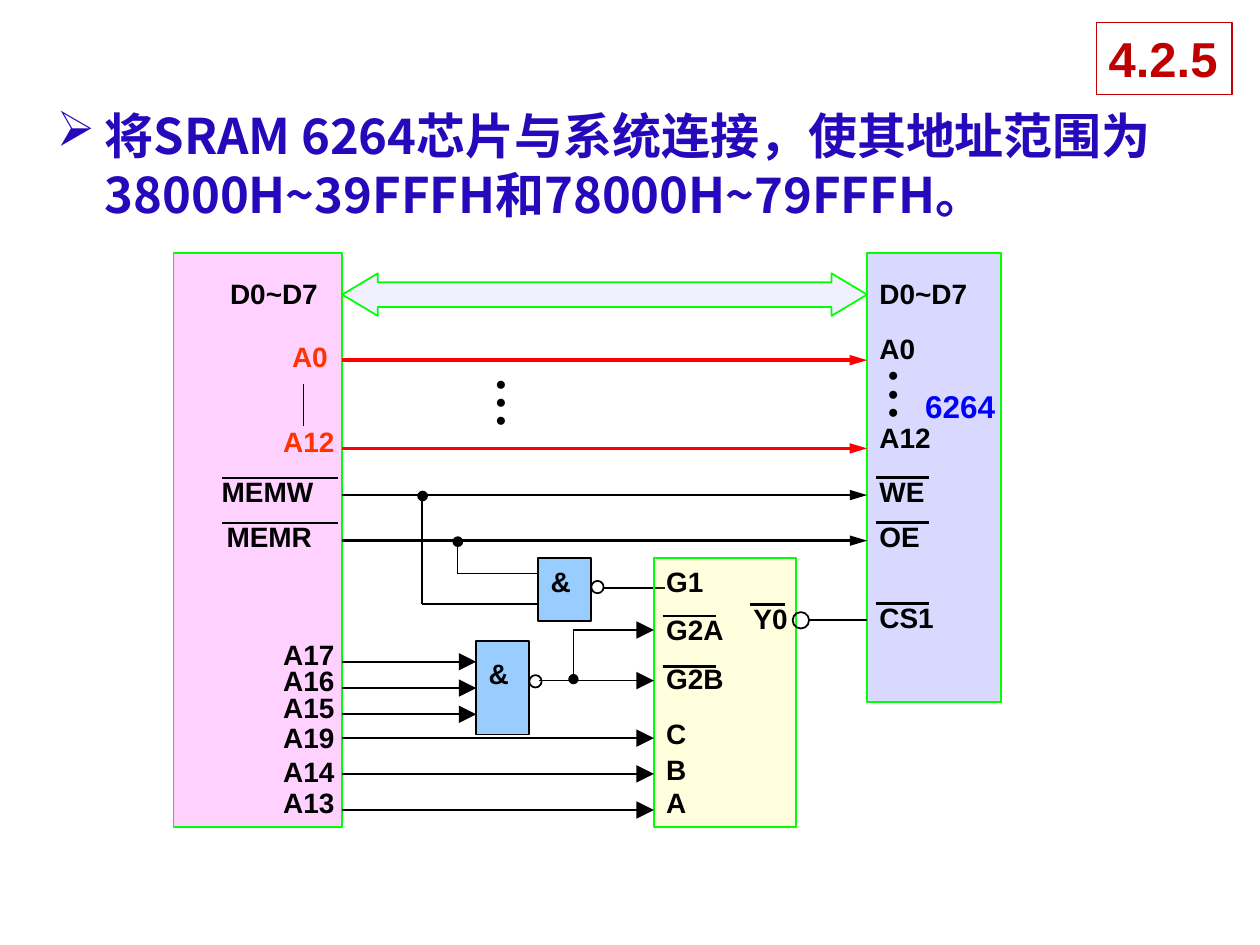
from pptx import Presentation, util as u
from pptx.dml import color
from pptx.enum import shapes, text
from pptx.oxml import ns
from lxml import etree

Cm = u.Cm
SHAPE = shapes.MSO_SHAPE
COLOURS = {
    "ink": "000000", "outline": "00FF00", "bus": "FF00FF", "chip": "0000FF",
    "decoder": "FFFF00", "gate": "99CCFF", "red": "FF0000", "address": "FF3300",
    "title": "2709BB", "badge": "C00000", "white": "FFFFFF",
}


def rgb(name):
    return color.RGBColor.from_string(COLOURS[name])


# ---- Basic parts, all lengths in centimetres ----
def shape(slide, kind, box, fill=None, line="ink", width=1, opacity=100):
    part = slide.shapes.add_shape(kind, *map(Cm, box))
    part.shadow.inherit = False
    part.line.color.rgb = rgb(line)
    part.line.width = u.Pt(width)
    if fill:
        part.fill.solid()
        part.fill.fore_color.rgb = rgb(fill)
        if opacity < 100:
            hue = part.fill._xPr.find(".//" + ns.qn("a:srgbClr"))
            etree.SubElement(hue, ns.qn("a:alpha"), val=str(opacity * 1000))
    else:
        part.fill.background()
    return part


def circle(slide, x, y, size, fill=None):
    return shape(slide, SHAPE.OVAL, (x, y, size, size), fill)


def write(paragraph, words, size, hue, font="Arial"):
    run = paragraph.add_run()
    run.text = words
    run.font.size = u.Pt(size)
    run.font.bold = True
    run.font.name = font
    run.font.color.rgb = rgb(hue)
    return run


def label(slide, words, x, y, hue="ink"):
    width = 0.6 + 0.5 * len(words)
    frame = slide.shapes.add_textbox(Cm(x), Cm(y), Cm(width), Cm(0.94)).text_frame
    frame.word_wrap = True
    write(frame.paragraphs[0], words, 16, hue)


def wire(slide, x1, y1, x2, y2, hue="ink", width=1, tail=None, breadth="lg", length="lg"):
    line = slide.shapes.add_connector(
        shapes.MSO_CONNECTOR.STRAIGHT, Cm(x1), Cm(y1), Cm(x2), Cm(y2))
    line.line.color.rgb = rgb(hue)
    line.line.width = u.Pt(width)
    if tail:
        etree.SubElement(line.line._get_or_add_ln(), ns.qn("a:tailEnd"),
                         type=tail, w=breadth, len=length)
    etree.SubElement(line._element.spPr, ns.qn("a:effectLst"))
    return line


def overbar(slide, x, y, length, width=1.5):
    wire(slide, x, y, x + length, y, width=width)


def dots(slide, x, y):
    for step in range(3):
        label(slide, "•", x, y + 0.37 * step)


# ---- Regions ----
def system_bus(slide, left, top, width, height):
    shape(slide, SHAPE.RECTANGLE, (left, top, width, height), "bus", "outline", opacity=18)
    for words, dx, dy in (("D0~D7", 0.89, 0.36), ("MEMW", 0.72, 4.35), ("MEMR", 0.82, 5.24)):
        label(slide, words, left + dx, top + dy)
    label(slide, "A0", left + 2.14, top + 1.63, "address")
    label(slide, "A12", left + 1.96, top + 3.33, "address")
    for words, dy in (("A17", 7.63), ("A16", 8.16), ("A15", 8.69),
                      ("A19", 9.3), ("A14", 9.99), ("A13", 10.62)):
        label(slide, words, left + 1.96, top + dy)
    for dy in (4.53, 5.44):
        overbar(slide, left + 0.98, top + dy, 2.34, 1)
    wire(slide, left + 2.62, top + 2.65, left + 2.62, top + 3.49)


def memory_chip(slide, left, top, width, height):
    shape(slide, SHAPE.RECTANGLE, (left, top, width, height), "chip", "outline", opacity=15)
    for words, dy in (("D0~D7", 0.36), ("A0", 1.45), ("A12", 3.26),
                      ("WE", 4.35), ("OE", 5.24), ("CS1", 6.89)):
        label(slide, words, left, top + dy)
    for dy in (4.53, 5.44, 7.07):
        overbar(slide, left + 0.18, top + dy, 1.07)
    dots(slide, left + 0.18, top + 1.99)
    name = slide.shapes.add_textbox(Cm(left + 0.91), Cm(top + 2.57), Cm(1.93), Cm(1.02))
    name.text_frame.word_wrap = False
    name.text_frame.paragraphs[0].alignment = text.PP_ALIGN.CENTER
    write(name.text_frame.paragraphs[0], "6264", 18, "chip")


def decoder(slide, left, top, width, height):
    shape(slide, SHAPE.RECTANGLE, (left, top, width, height), "decoder", "outline", opacity=13)
    for words, dy in (("G1", 0), ("G2A", 0.97), ("G2B", 1.96),
                      ("C", 3.08), ("B", 3.79), ("A", 4.47)):
        label(slide, words, left, top + dy)
    for dy in (1.17, 2.19):
        overbar(slide, left + 0.18, top + dy, 1.07)
    label(slide, "Y0", left + 1.76, top + 0.76)
    overbar(slide, left + 1.93, top + 0.94, 0.71)
    circle(slide, left + width - 0.07, top + 1.09, 0.33)


def nand_gate(slide, left, top, width, height, label_dy, bubble_dy):
    body = shape(slide, SHAPE.RECTANGLE, (left, top, width, height), "gate")
    label(slide, "&", left, top + label_dy)
    circle(slide, left + width, top + bubble_dy, 0.25)
    return body


def bus_wires(slide, left, top, width):
    arrow = shape(slide, SHAPE.LEFT_RIGHT_ARROW, (left, top + 0.41, width, 0.86),
                  "chip", "outline", opacity=6)
    arrow.adjustments[0], arrow.adjustments[1] = 0.577, 0.835
    for dy, hue, weight in ((2.16, "red", 2), (3.94, "red", 2),
                            (4.88, "ink", 1.5), (5.8, "ink", 1.5)):
        wire(slide, left, top + dy, left + width, top + dy, hue, weight, "triangle", "med")
    dots(slide, left + 2.85, top + 2.16)
    # Branches from the read and write lines to the upper gate
    for dx, start, end in ((1.61, 4.88, 7.07), (2.32, 5.8, 6.46)):
        wire(slide, left + dx, top + start, left + dx, top + end)
        wire(slide, left + dx, top + end, left + 3.95, top + end)
        circle(slide, left + dx - 0.08, top + start - 0.07, 0.18, "ink")


def select_wires(slide, left, top, lower_gate):
    # Address lines into the lower gate and the decoder
    for dy, dx in ((0, 2.7), (0.53, 2.7), (1.06, 2.7),
                   (1.54, 6.28), (2.26, 6.28), (2.99, 6.28)):
        line = wire(slide, left, top + dy, left + dx, top + dy, tail="triangle")
        if dy == 0.53:
            line.end_connect(lower_gate, 1)
    # Lower gate to G2A and G2B, then Y0 to CS1
    wire(slide, left + 3.97, top + 0.38, left + 6.28, top + 0.38, tail="triangle")
    wire(slide, left + 4.66, top - 0.64, left + 6.28, top - 0.64, tail="triangle")
    wire(slide, left + 4.66, top - 0.64, left + 4.66, top + 0.35,
         tail="oval", breadth="med", length="med")
    wire(slide, left + 9.41, top - 0.84, left + 10.58, top - 0.84)


def title(slide, left, top, width, height):
    frame = slide.shapes.add_textbox(*map(Cm, (left, top, width, height))).text_frame
    frame.word_wrap = True
    paragraph = frame.paragraphs[0]
    paragraph.line_spacing = u.Pt(33.7)
    props = paragraph._p.get_or_add_pPr()
    props.set("marL", str(Cm(0.97)))
    props.set("indent", str(-Cm(0.97)))
    etree.SubElement(props, ns.qn("a:buChar"), char="➢")
    font = "Noto Sans CJK SC"
    run = write(paragraph, "将SRAM 6264芯片与系统连接，使其地址范围为38000H~39FFFH和78000H~79FFFH。",
                28, "title", font)
    run.font._element.find(ns.qn("a:latin")).addnext(
        etree.Element(ns.qn("a:ea"), typeface=font))


def section_badge(slide, left, top, width, height):
    badge = shape(slide, SHAPE.RECTANGLE, (left, top, width, height), "white", "badge", 0.75)
    frame = badge.text_frame
    frame.word_wrap = False
    frame.vertical_anchor = text.MSO_ANCHOR.TOP
    frame.paragraphs[0].alignment = text.PP_ALIGN.LEFT
    write(frame.paragraphs[0], "4.2.5", 28, "badge")


def main():
    deck = Presentation()
    deck.slide_width, deck.slide_height = Cm(25.4), Cm(19.05)
    slide = deck.slides.add_slide(deck.slide_layouts[6])
    wire(slide, 12.17, 11.86, 13.41, 11.86)  # upper gate to G1
    system_bus(slide, 3.5, 5.1, 3.4, 11.58)
    memory_chip(slide, 17.48, 5.1, 2.7, 9.05)
    bus_wires(slide, 6.9, 5.1, 10.58)
    decoder(slide, 13.18, 11.25, 2.87, 5.43)
    nand_gate(slide, 10.85, 11.25, 1.07, 1.27, 0, 0.46)
    lower_gate = nand_gate(slide, 9.6, 12.93, 1.07, 1.88, 0.18, 0.68)
    select_wires(slide, 6.9, 13.34, lower_gate)
    title(slide, 0.89, 1.99, 23.04, 2.79)
    section_badge(slide, 22.1, 0.46, 2.74, 1.45)
    deck.save("out.pptx")


if __name__ == "__main__":
    main()
